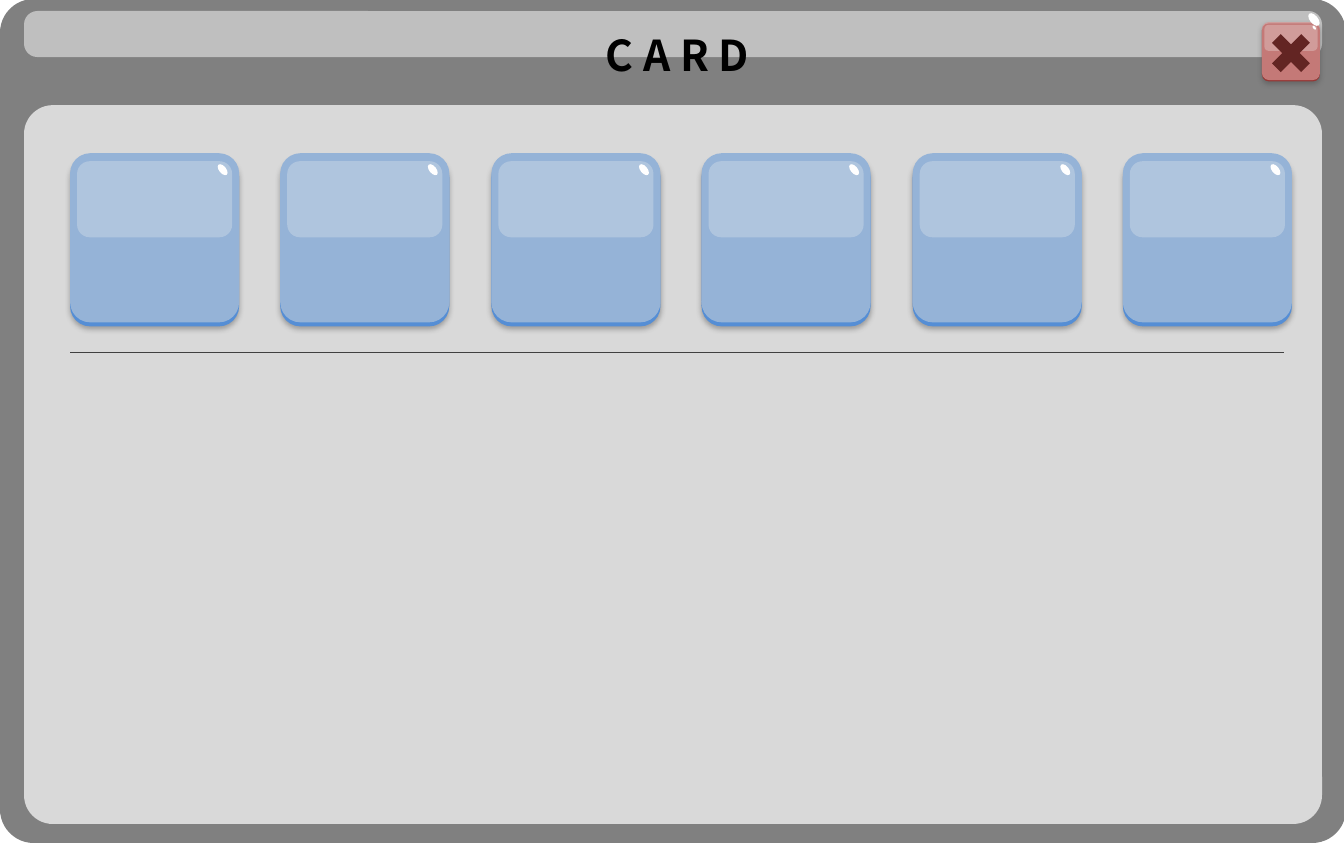
import pptx
import pptx.util
import pptx.dml.color
import pptx.enum.shapes
import pptx.enum.text
import pptx.oxml
import pptx.oxml.ns
from lxml import etree

RGB = pptx.dml.color.RGBColor
SHAPE = pptx.enum.shapes.MSO_SHAPE
EMU_PER_PX = 914400 / 50.9

FRAME_GREY = RGB(0x80, 0x80, 0x80)
PANEL_GREY = RGB(0xD9, 0xD9, 0xD9)
WHITE = RGB(0xFF, 0xFF, 0xFF)
BLACK = RGB(0, 0, 0)
GLOSS = RGB(0xF2, 0xF2, 0xF2)
RULE_GREY = RGB(0x40, 0x40, 0x40)
CARD_EDGE = RGB(0x55, 0x8E, 0xD5)
CARD_FACE = RGB(0x95, 0xB3, 0xD7)
CLOSE_EDGE = RGB(0x95, 0x37, 0x35)
CLOSE_FACE = RGB(0xD9, 0x96, 0x94)
CROSS_RED = RGB(0x63, 0x25, 0x23)

GLINT_ANGLE = 320.5
CORNER = 0.12
CARD_SIZE = 169
CARD_COUNT = 6
FIRST_CARD_X, LAST_CARD_X = 70, 1122


def px(length):
    return pptx.util.Emu(round(length * EMU_PER_PX))


def add_figure(shapes, kind, box, color, alpha=100, adjust=None, rotation=0):
    figure = shapes.add_shape(kind, *map(px, box))
    figure.shadow.inherit = False
    figure.fill.solid()
    figure.fill.fore_color.rgb = color
    figure.line.fill.background()
    figure.rotation = rotation
    if adjust is not None:
        figure.adjustments[0] = adjust
    if alpha < 100:
        fill_color = next(figure.element.spPr.iter(pptx.oxml.ns.qn("a:srgbClr")))
        etree.SubElement(fill_color, pptx.oxml.ns.qn("a:alpha"), val=str(alpha * 1000))
    return figure


def add_drop_shadow(figure):
    effects = figure.element.spPr.find(pptx.oxml.ns.qn("a:effectLst"))
    effects.append(pptx.oxml.parse_xml(
        f'<a:outerShdw {pptx.oxml.ns.nsdecls("a")} blurRad="{pptx.util.Pt(8)}" '
        f'dist="{pptx.util.Pt(3)}" dir="5400000" algn="t" rotWithShape="0">'
        f'<a:srgbClr val="{RULE_GREY}"><a:alpha val="40000"/></a:srgbClr></a:outerShdw>'))


def add_glossy_button(slide, left, top, size, edge, face, face_alpha=100):
    """Raised square whose details keep the proportions of a card."""
    button = slide.shapes.add_group_shape().shapes
    scale = size / CARD_SIZE

    def inside(*card_box):
        x, y, width, height = (length * scale for length in card_box)
        return left + x, top + y, width, height

    lip = add_figure(button, SHAPE.ROUNDED_RECTANGLE,
                     inside(0, 4, CARD_SIZE, CARD_SIZE), edge, adjust=CORNER)
    add_drop_shadow(lip)
    add_figure(button, SHAPE.ROUNDED_RECTANGLE,
               inside(0, 0, CARD_SIZE, CARD_SIZE), face, face_alpha, CORNER)
    add_figure(button, SHAPE.ROUNDED_RECTANGLE, inside(7, 8, 155, 76), GLOSS, 29)
    add_figure(button, SHAPE.OVAL, inside(149, 10, 7, 13), WHITE, rotation=GLINT_ANGLE)
    return button


def add_rule(slide, x1, x2, y, color, width):
    rule = slide.shapes.add_connector(
        pptx.enum.shapes.MSO_CONNECTOR.STRAIGHT, px(x1), px(y), px(x2), px(y))
    rule.line.color.rgb = color
    rule.line.width = pptx.util.Pt(width)
    etree.SubElement(rule.element.spPr, pptx.oxml.ns.qn("a:effectLst"))


def write_text(holder, text, *, font, size, color, bold=False,
               align=pptx.enum.text.PP_ALIGN.CENTER):
    frame = holder.text_frame
    frame.word_wrap = True
    frame.auto_size = pptx.enum.text.MSO_AUTO_SIZE.NONE
    frame.vertical_anchor = pptx.enum.text.MSO_ANCHOR.TOP
    paragraph = frame.paragraphs[0]
    paragraph.alignment = align
    run = paragraph.add_run()
    run.text = text
    run.font.name = font
    run.font.size = pptx.util.Pt(size)
    run.font.bold = bold
    run.font.color.rgb = color


def place_title(slide, text, box):
    title = slide.shapes.title
    title.left, title.top, title.width, title.height = map(px, box)
    write_text(title, text, font="Noto Sans CJK KR", size=60, color=BLACK, bold=True)
    # Bring the heading in front of the window frame
    slide.shapes.element.append(title.element)


def main():
    deck = pptx.Presentation()
    deck.slide_width, deck.slide_height = px(1343), px(842)
    slide = deck.slides.add_slide(deck.slide_layouts[5])

    # Window frame, content panel and header gloss
    for box, color, alpha, corner in (
            ((0, -1, 1345, 843), FRAME_GREY, 100, 0.04),
            ((24, 105, 1297, 718), PANEL_GREY, 100, 0.04),
            ((24, 11, 1297, 46), WHITE, 50, 0.29)):
        add_figure(slide.shapes, SHAPE.ROUNDED_RECTANGLE, box, color, alpha, corner)
    add_rule(slide, 70, 1283, 352, RULE_GREY, 2)

    # Close button
    close = add_glossy_button(slide, 1261, 22, 58, CLOSE_EDGE, CLOSE_FACE, 70)
    add_figure(close, SHAPE.MATH_MULTIPLY, (1262, 25, 56, 56), CROSS_RED, adjust=0.22)

    # Heading and header glint
    place_title(slide, "C A R D", (454, 26, 446, 66))
    add_figure(slide.shapes, SHAPE.OVAL, (1309, 12, 8, 15), WHITE, rotation=GLINT_ANGLE)

    # Row of cards
    pitch = (LAST_CARD_X - FIRST_CARD_X) / (CARD_COUNT - 1)
    for index in range(CARD_COUNT):
        add_glossy_button(slide, round(FIRST_CARD_X + index * pitch), 153,
                          CARD_SIZE, CARD_EDGE, CARD_FACE)

    deck.save("out.pptx")


main()
